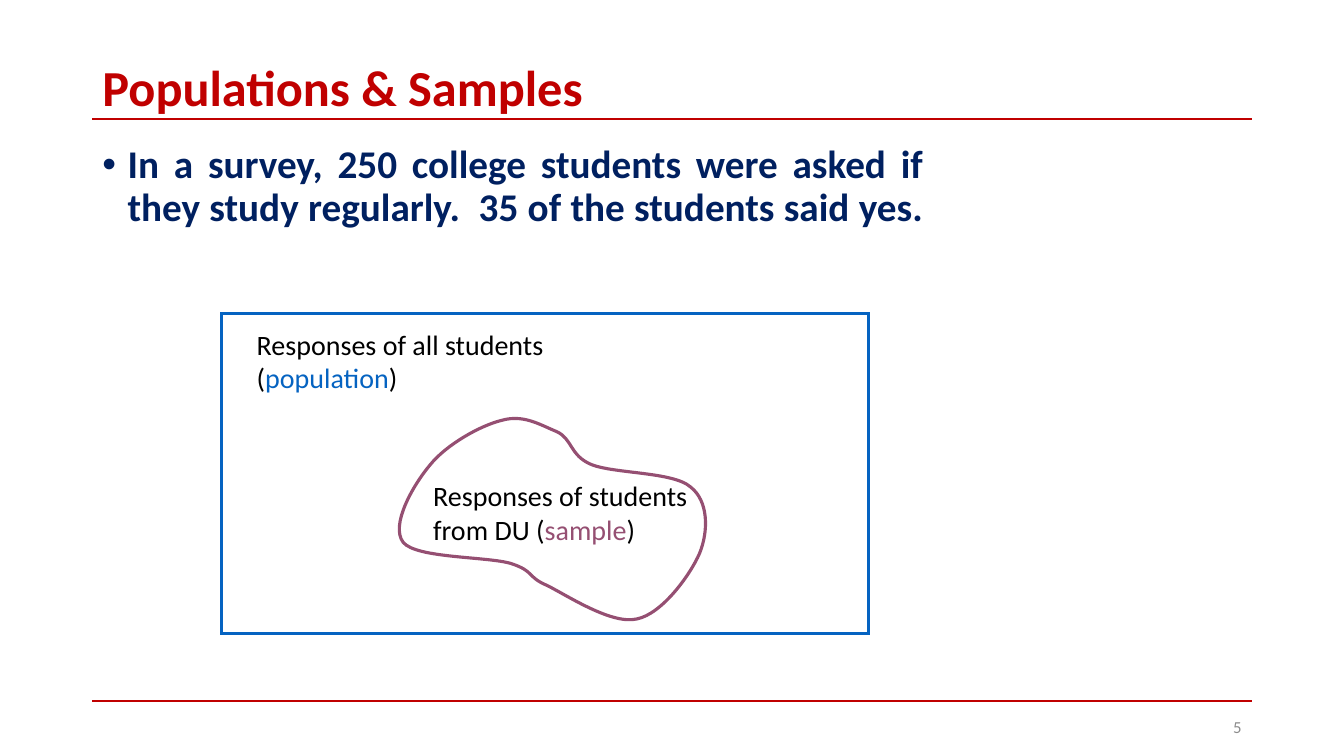
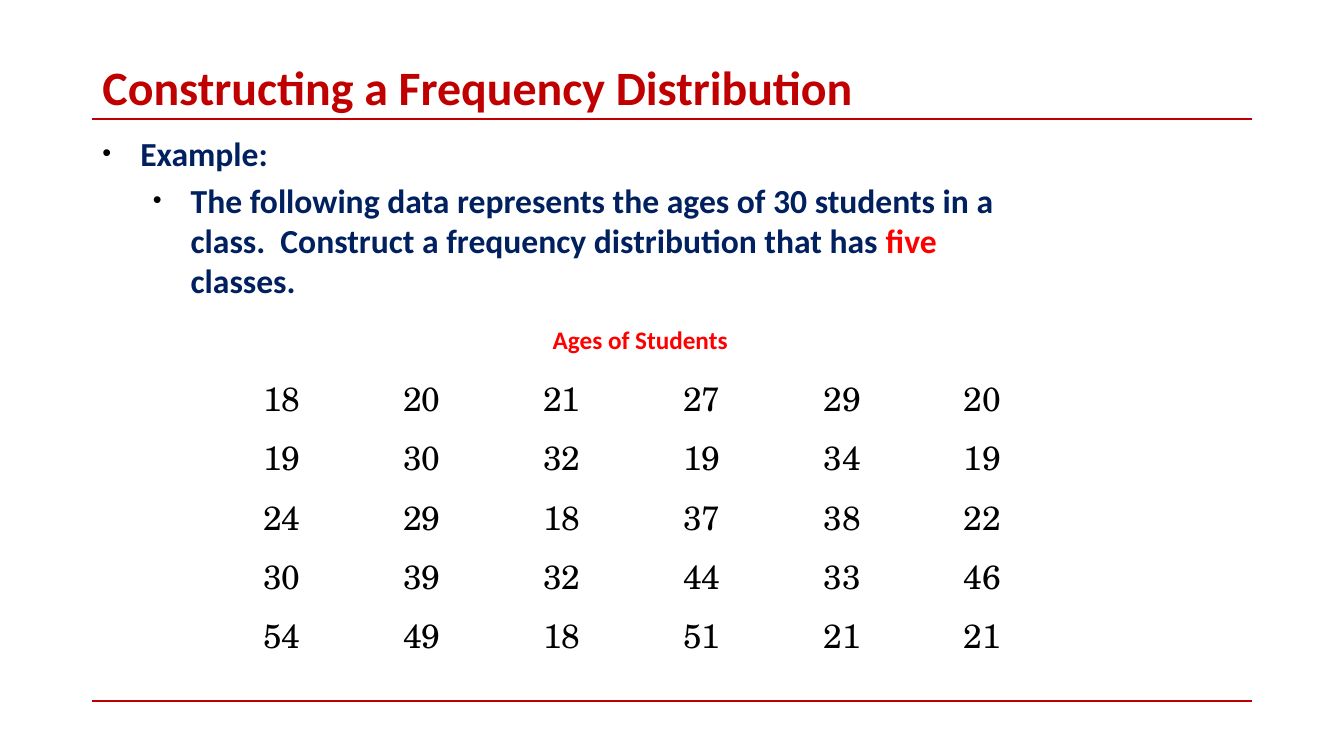
from pptx import Presentation
from pptx.dml.color import RGBColor
from pptx.enum.shapes import MSO_CONNECTOR, MSO_SHAPE
from pptx.enum.text import MSO_ANCHOR, MSO_AUTO_SIZE, PP_ALIGN
from pptx.oxml.ns import qn
from pptx.util import Pt
from lxml import etree

RED = RGBColor(0xC0, 0x00, 0x00)
BRIGHT_RED = RGBColor(0xFF, 0x00, 0x00)
NAVY = RGBColor(0x00, 0x20, 0x60)
BLUE = RGBColor(0x05, 0x63, 0xC1)
PLUM = RGBColor(0x95, 0x4F, 0x72)
GREY = RGBColor(0x8C, 0x8C, 0x8C)
BLACK = RGBColor(0x00, 0x00, 0x00)
FONT, TABLE_FONT = "Calibri", "TeX Gyre Schola"
LEFT, CENTER, RIGHT, JUSTIFY = PP_ALIGN.LEFT, PP_ALIGN.CENTER, PP_ALIGN.RIGHT, PP_ALIGN.JUSTIFY
TOP, MIDDLE = MSO_ANCHOR.TOP, MSO_ANCHOR.MIDDLE
FIXED, GROW = MSO_AUTO_SIZE.NONE, MSO_AUTO_SIZE.SHAPE_TO_FIT_TEXT
MARGIN, CONTENT_W = 66, 828


def write(p, runs, size, bold=False, align=LEFT, font=FONT):
    """Fill a paragraph with (text, colour) runs."""
    p.alignment = align
    for text, color in runs:
        r = p.add_run()
        r.text = text
        r.font.name, r.font.size, r.font.bold = font, Pt(size), bold
        r.font.color.rgb = color


def bullet(p, indent, hang, color, percent):
    """Give a paragraph a hanging round bullet."""
    pPr = p._p.get_or_add_pPr()
    pPr.set("marL", str(Pt(indent)))
    pPr.set("indent", str(-Pt(hang)))
    clr = etree.SubElement(pPr, qn("a:buClr"))
    etree.SubElement(clr, qn("a:srgbClr"), val=str(color))
    etree.SubElement(pPr, qn("a:buSzPct"), val=str(percent * 1000))
    etree.SubElement(pPr, qn("a:buFont"), typeface="Arial")
    etree.SubElement(pPr, qn("a:buChar"), char="•")


prs = Presentation()
prs.slide_width, prs.slide_height = Pt(960), Pt(540)

# Shared layout: title place, no footer placeholders
layout = prs.slide_layouts[1]
for ph in list(layout.placeholders):
    if ph.placeholder_format.idx >= 10:
        layout.shapes.element.remove(ph.element)
title = layout.placeholders[0]
title.left, title.top, title.width, title.height = Pt(MARGIN), Pt(43.8), Pt(CONTENT_W), Pt(41.5)
title.text_frame.vertical_anchor = MIDDLE

# Slides with titles and body places
slides = []
for heading, size, body_top, body_w, body_h in [
    ("Populations & Samples", 36, 100, 600.5, 387),
    ("Constructing a Frequency Distribution", 34.2, 91, 660, 131),
]:
    s = prs.slides.add_slide(layout)
    tf = s.shapes.title.text_frame
    tf.auto_size = FIXED
    p = tf.paragraphs[0]
    write(p, [(heading, RED)], size, True)
    p.line_spacing = 0.9
    body = s.placeholders[1]
    body.left, body.top, body.width, body.height = Pt(MARGIN), Pt(body_top), Pt(body_w), Pt(body_h)
    body.text_frame.auto_size = FIXED
    slides.append(s)
samples, frequency = slides

# Red rules, moved to the layout so that both slides show them
for y in (85, 500.5):
    rule = samples.shapes.add_connector(
        MSO_CONNECTOR.STRAIGHT, Pt(MARGIN), Pt(y), Pt(MARGIN + CONTENT_W), Pt(y))
    rule.line.color.rgb, rule.line.width = RED, Pt(1.5)
    etree.SubElement(rule.element.spPr, qn("a:effectLst"))
    layout.shapes.element.append(rule.element)

# Populations: survey text
p = samples.placeholders[1].text_frame.paragraphs[0]
survey = ("In a survey, 250 college students were asked if they study regularly.  "
          "35 of the students said yes.  ")
write(p, [(survey, NAVY)], 28, True, JUSTIFY)
p.line_spacing, p.space_before = 0.9, Pt(10)
bullet(p, 18, 18, NAVY, 100)

# Populations: curved outline of the sample
start = (358.6, 300.2)
curves = [  # two control points and the end of each curve
    ((343.4, 303.8), (319, 317.5), (307.4, 331.9)),
    ((295.2, 346.3), (278.6, 375.1), (288, 387.4)),
    ((297.4, 398.9), (347.8, 397.4), (365, 402.5)),
    ((382.3, 408.2), (375.8, 411.8), (391, 418.3)),
    ((405.4, 425.5), (437, 446.4), (455, 442.1)),
    ((473, 438.5), (493.2, 410.4), (499.7, 395.3)),
    ((506.2, 379.4), (506.2, 357.8), (493.2, 347.8)),
    ((481, 337), (439.2, 338.4), (422.6, 331.9)),
    ((406.8, 325.4), (409, 313.2), (397.4, 308.2)),
    ((385.2, 303.1), (373.7, 295.9), start),
]
outline = samples.shapes.build_freeform(Pt(start[0]), Pt(start[1]))
outline.add_line_segments([(Pt(x), Pt(y)) for curve in curves for x, y in curve], close=True)
sample = outline.convert_to_shape()

# Join each three straight segments into one Bezier curve
path_xml = sample.element.spPr.find(".//" + qn("a:path"))
segments = path_xml.findall(qn("a:lnTo"))
for i in range(0, len(segments), 3):
    cubic = etree.Element(qn("a:cubicBezTo"))
    segments[i].addprevious(cubic)
    for segment in segments[i:i + 3]:
        cubic.append(segment[0])
        path_xml.remove(segment)

# Frequency: table of ages
ages = [
    [18, 20, 21, 27, 29, 20],
    [19, 30, 32, 19, 34, 19],
    [24, 29, 18, 37, 38, 22],
    [30, 39, 32, 44, 33, 46],
    [54, 49, 18, 51, 21, 21],
]
table = frequency.shapes.add_table(5, 6, Pt(151.2), Pt(263), Pt(600.5), Pt(204)).table
table.first_row = table.horz_banding = False
for row, values in enumerate(ages):
    for col, age in enumerate(values):
        cell = table.cell(row, col)
        cell.fill.background()
        p = cell.text_frame.paragraphs[0]
        write(p, [(str(age), BLACK)], 24, align=CENTER, font=TABLE_FONT)
        p.space_before = Pt(4.8)

# Frequency: example text
tf = frequency.placeholders[1].text_frame
p = tf.paragraphs[0]
write(p, [("Example:", NAVY)], 24, True)
bullet(p, 27, 27, BLACK, 75)
p = tf.add_paragraph()
p.level = 1
write(p, [("The following data represents the ages of 30 students in a class.  "
           "Construct a frequency distribution that has ", NAVY),
          ("five", BRIGHT_RED), (" classes.", NAVY)], 24, True)
bullet(p, 63, 27, BLACK, 75)

# Slide number and labels
for s, box, anchor, fit, align, size, bold, runs in [
    (samples, (678, 504.5, 216, 29), MIDDLE, FIXED, RIGHT, 12, False, [("5", GREY)]),
    (samples, (176.3, 230.2, 246, 55.5), TOP, GROW, LEFT, 20, False,
     [("Responses of all students (", BLACK), ("population", BLUE), (")", BLACK)]),
    (samples, (302.3, 338.4, 198, 55.5), TOP, GROW, LEFT, 20, False,
     [("Responses of students from DU (", BLACK), ("sample", PLUM), (")", BLACK)]),
    (frequency, (343.3, 228, 228, 29), TOP, GROW, CENTER, 18, True,
     [("Ages of Students", BRIGHT_RED)]),
]:
    tf = s.shapes.add_textbox(*[Pt(v) for v in box]).text_frame
    tf.word_wrap = True
    tf.auto_size = fit
    tf.vertical_anchor = anchor
    write(tf.paragraphs[0], runs, size, bold, align)

# Populations: frame of the population, and line style of both outlines
population = samples.shapes.add_shape(
    MSO_SHAPE.RECTANGLE, Pt(158.5), Pt(224), Pt(462), Pt(228.4))
for shape, color in [(population, BLUE), (sample, PLUM)]:
    shape.shadow.inherit = False
    shape.fill.background()
    shape.line.color.rgb, shape.line.width = color, Pt(2.25)
etree.SubElement(population.element.spPr.find(qn("a:ln")), qn("a:miter"), lim="800000")

prs.save("out.pptx")
